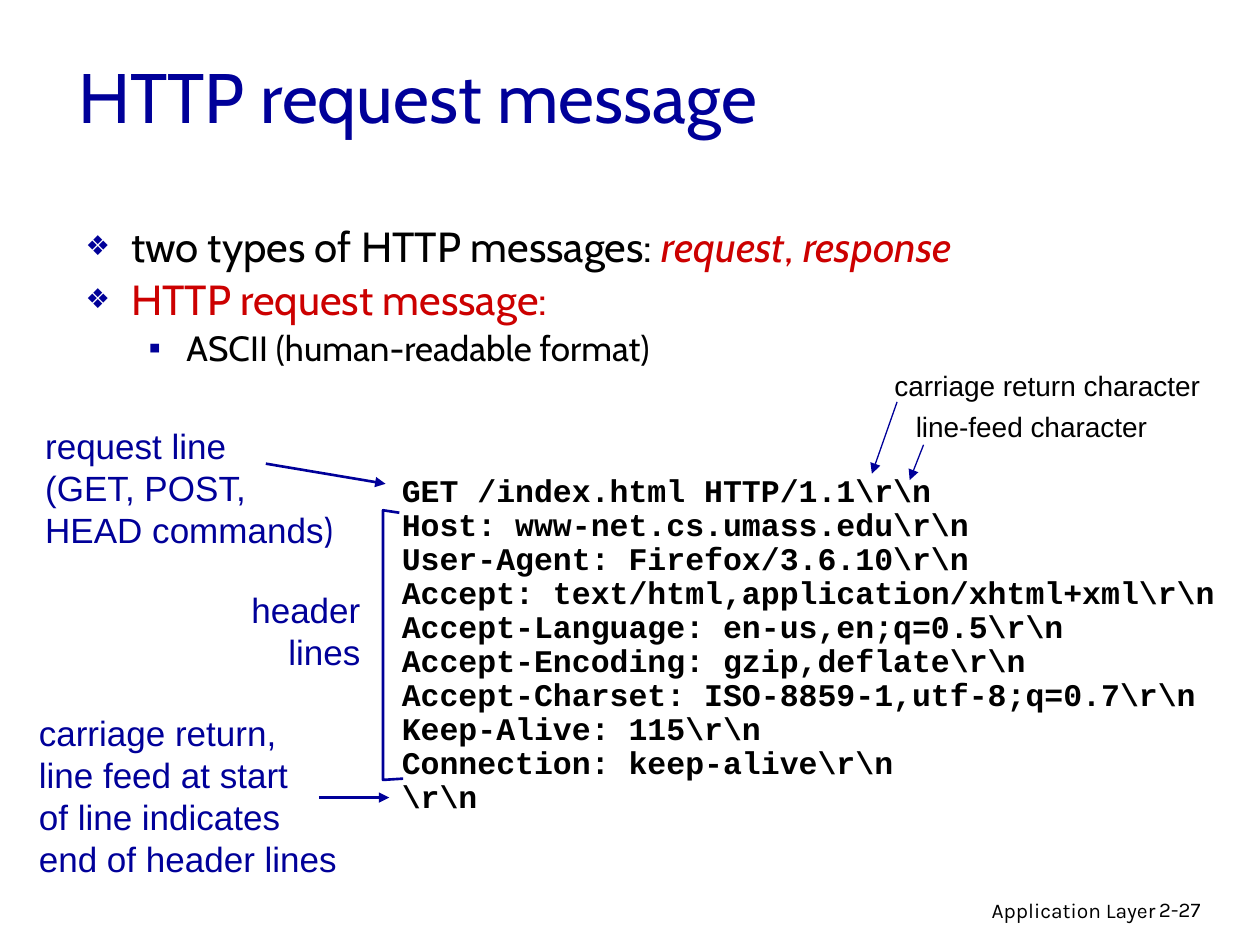
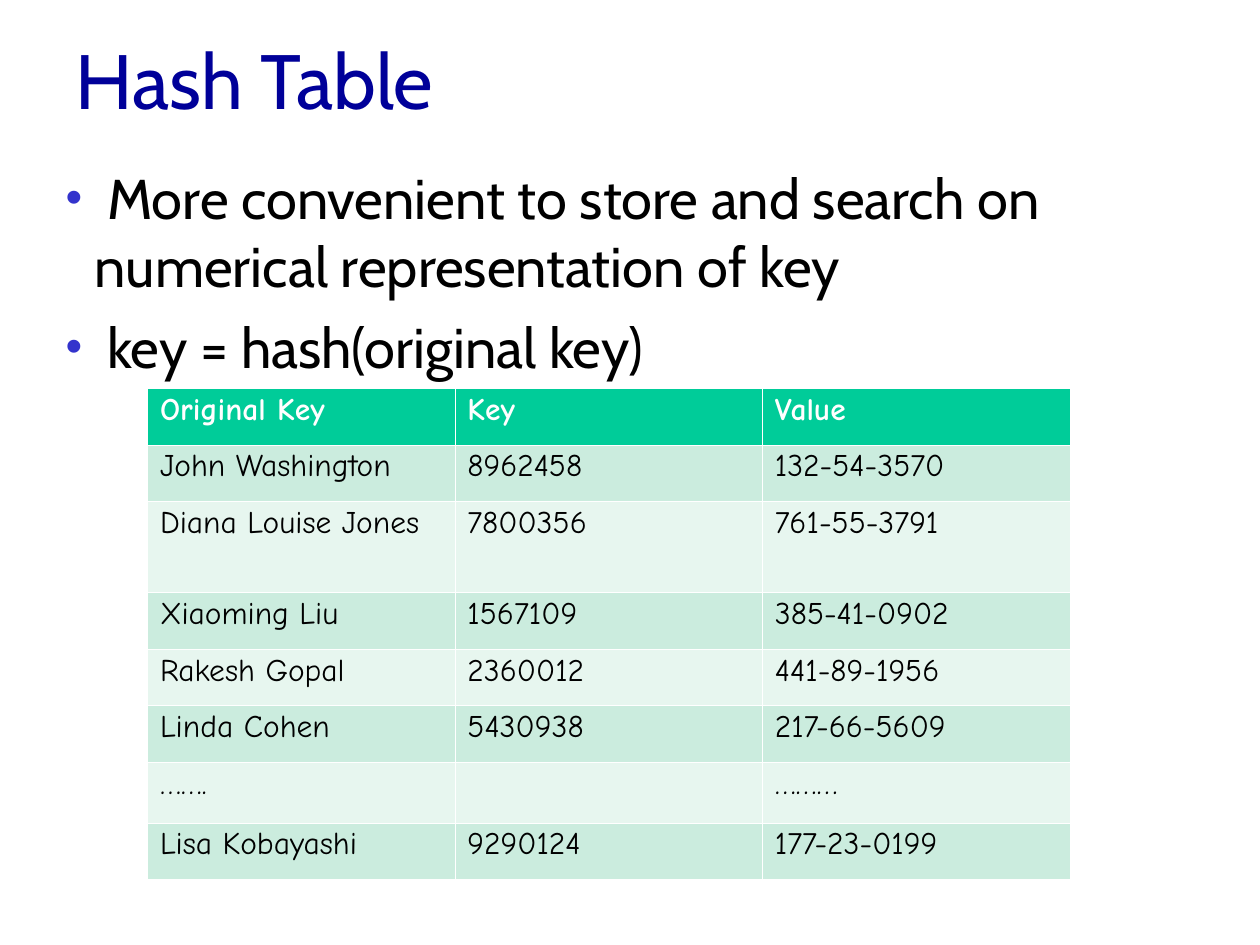
from dataclasses import dataclass, replace
from typing import Optional

from lxml.etree import SubElement
from pptx import Presentation
from pptx.dml.color import RGBColor
from pptx.enum.shapes import MSO_CONNECTOR as Connector
from pptx.enum.text import MSO_ANCHOR as Anchor, MSO_AUTO_SIZE as AutoSize, PP_ALIGN as Align
from pptx.oxml.ns import qn
from pptx.util import Emu, Pt

PX = 9144  # one px is a hundredth of an inch
NAVY, RED, BLACK, WHITE, INDIGO = "000099", "CC0000", "000000", "FFFFFF", "3333CC"
HEADER_GREEN, BAND_GREENS = "00CC99", ("E7F6EF", "CBECDE")
HEADING, LABEL, CODE, FOOTER, CELL = "Cabin", "Arial", "Courier New", "Karla", "Comic Neue"


@dataclass(frozen=True)
class Box:
    left: int
    top: int
    width: int
    height: int

    def emu(self) -> list[Emu]:
        return [px(side) for side in (self.left, self.top, self.width, self.height)]


@dataclass(frozen=True)
class Span:
    text: str
    color: Optional[str] = None
    font: Optional[str] = None
    italic: bool = False


@dataclass(frozen=True)
class Bullet:
    char: str
    color: str
    percent: int = 100


@dataclass(frozen=True)
class Style:
    size: int
    font: str
    color: str = BLACK
    bold: bool = False
    align: Align = Align.LEFT
    spacing: float = 1.0
    before: int = 0
    margin: int = 0
    hanging: int = 0
    level: int = 0
    bullet: Optional[Bullet] = None


@dataclass(frozen=True)
class Paragraph:
    spans: list
    style: Style


@dataclass(frozen=True)
class Note:
    box: Box
    lines: list
    style: Style
    wrap: bool = False


@dataclass(frozen=True)
class Arrow:
    start: tuple[int, int]
    end: tuple[int, int]
    width: float


def px(length: int) -> Emu:
    return Emu(length * PX)


def rgb(color: str) -> RGBColor:
    return RGBColor.from_string(color)


def write_text(para, text: str, *, size: int, font: str, color: str,
               bold: bool = False, italic: bool = False) -> None:
    run = para.add_run()
    run.text = text
    run.font.size, run.font.name = Pt(size), font
    run.font.bold, run.font.italic = bold, italic
    run.font.color.rgb = rgb(color)


def add_bullet(para, bullet: Bullet) -> None:
    props = para._p.get_or_add_pPr()
    SubElement(SubElement(props, qn("a:buClr")), qn("a:srgbClr"), val=bullet.color)
    SubElement(props, qn("a:buSzPct"), val=str(bullet.percent * 1000))
    SubElement(props, qn("a:buChar"), char=bullet.char)


def fill_frame(frame, paragraphs: list[Paragraph]) -> None:
    for index, paragraph in enumerate(paragraphs):
        para = frame.add_paragraph() if index else frame.paragraphs[0]
        style = paragraph.style
        if style.bullet:
            add_bullet(para, style.bullet)
        props = para._p.get_or_add_pPr()
        props.set("marL", str(px(style.margin)))
        props.set("indent", str(px(-style.hanging)))
        para.level, para.alignment = style.level, style.align
        para.line_spacing = style.spacing
        para.space_before = Pt(style.before if index else 0)
        for item in paragraph.spans:
            span = Span(item) if isinstance(item, str) else item
            write_text(para, span.text, size=style.size, font=span.font or style.font,
                       color=span.color or style.color, bold=style.bold, italic=span.italic)


def fill_placeholder(shape, box: Box, paragraphs: list[Paragraph], anchor: Anchor) -> None:
    shape.left, shape.top, shape.width, shape.height = box.emu()
    frame = shape.text_frame
    frame.auto_size, frame.word_wrap = AutoSize.NONE, True
    frame.vertical_anchor = anchor
    fill_frame(frame, paragraphs)


def add_page(deck, title: str, title_box: Box, title_size: int,
             body_box: Box, body: list[Paragraph]):
    """Add a slide with the shared title style and a bulleted body."""
    page = deck.slides.add_slide(deck.slide_layouts[1])
    heading = Paragraph([title], Style(title_size, HEADING, NAVY))
    fill_placeholder(page.shapes.title, title_box, [heading], Anchor.MIDDLE)
    fill_placeholder(page.placeholders[1], body_box, body, Anchor.TOP)
    return page


def add_note(page, note: Note) -> None:
    frame = page.shapes.add_textbox(*note.box.emu()).text_frame
    frame.word_wrap = note.wrap
    frame.auto_size = AutoSize.NONE if note.wrap else AutoSize.SHAPE_TO_FIT_TEXT
    fill_frame(frame, [Paragraph(line if isinstance(line, list) else [line], note.style)
                       for line in note.lines])


def add_arrow(page, arrow: Arrow) -> None:
    points = [px(value) for value in arrow.start + arrow.end]
    connector = page.shapes.add_connector(Connector.STRAIGHT, *points)
    connector.line.color.rgb = rgb(NAVY)
    connector.line.width = Pt(arrow.width)
    SubElement(connector.line._get_or_add_ln(), qn("a:tailEnd"), type="triangle")
    SubElement(connector._element.spPr, qn("a:effectLst"))


def add_bracket(page, points: list[tuple[int, int]]) -> None:
    builder = page.shapes.build_freeform(*points[0], scale=PX)
    builder.add_line_segments(points[1:], close=False)
    bracket = builder.convert_to_shape()
    bracket.shadow.inherit = False
    bracket.fill.background()
    bracket.line.color.rgb = rgb(NAVY)
    bracket.line.width = Pt(1.5)


def style_cell(cell, text: str, style: Style, fill: str) -> None:
    props = cell._tc.get_or_add_tcPr()
    for side in ("lnL", "lnR", "lnT", "lnB"):
        border = SubElement(props, qn(f"a:{side}"), w=str(Pt(0.06)))
        SubElement(SubElement(border, qn("a:solidFill")), qn("a:srgbClr"), val=WHITE)
    cell.fill.solid()
    cell.fill.fore_color.rgb = rgb(fill)
    if text:
        fill_frame(cell.text_frame, [Paragraph([text], style)])


def add_key_table(page, box: Box, heights: list[int], records: list[tuple[str, ...]]) -> None:
    columns = len(records[0])
    table = page.shapes.add_table(len(records), columns, *box.emu()).table
    for column in table.columns:
        column.width = px(box.width // columns)
    body_style = Style(18, CELL, spacing=0.89)
    header_style = replace(body_style, color=WHITE, bold=True)
    for row_index, (height, record) in enumerate(zip(heights, records)):
        table.rows[row_index].height = px(height)
        style = body_style if row_index else header_style
        fill = BAND_GREENS[row_index % 2] if row_index else HEADER_GREEN
        for column_index, text in enumerate(record):
            style_cell(table.cell(row_index, column_index), text, style, fill)


def build_request_page(deck) -> None:
    topic = Style(24, HEADING, spacing=0.85, before=6, margin=36, hanging=36,
                  bullet=Bullet("❖", NAVY, 65))
    detail = replace(topic, size=20, before=5, margin=80, hanging=30, level=1,
                     bullet=Bullet("▪", NAVY))
    page = add_page(deck, "HTTP request message", Box(52, 26, 850, 100), 40,
                    Box(58, 176, 850, 508), [
        Paragraph(["two types of HTTP messages: ", Span("request", RED, italic=True),
                   Span(", ", RED), Span("response", RED, italic=True)], topic),
        Paragraph([Span("HTTP request message:", RED)], topic),
        Paragraph(["ASCII (human-readable format)"], detail),
    ])

    label = Style(20, LABEL, NAVY)
    code = Style(18, CODE, bold=True, spacing=0.9, margin=38, hanging=36)
    callout = Style(16, LABEL, margin=38, hanging=36)
    footer = Style(12, FOOTER)
    request_lines = [
        r"GET /index.html HTTP/1.1\r\n",
        r"Host: www-net.cs.umass.edu\r\n",
        r"User-Agent: Firefox/3.6.10\r\n",
        r"Accept: text/html,application/xhtml+xml\r\n",
        r"Accept-Language: en-us,en;q=0.5\r\n",
        r"Accept-Encoding: gzip,deflate\r\n",
        r"Accept-Charset: ISO-8859-1,utf-8;q=0.7\r\n",
        r"Keep-Alive: 115\r\n",
        r"Connection: keep-alive\r\n",
        r"\r\n",
    ]
    notes = [
        Note(Box(610, 707, 317, 31), ["Application Layer"],
             replace(footer, align=Align.RIGHT), wrap=True),
        Note(Box(910, 707, 74, 30), ["2-27"], footer, wrap=True),
        Note(Box(26, 332, 255, 110),
             ["request line", "(GET, POST,", ["HEAD commands", Span(")", font=HEADING)]],
             label, wrap=True),
        Note(Box(176, 462, 120, 77), ["header", "lines"],
             replace(label, align=Align.RIGHT), wrap=True),
        Note(Box(21, 560, 265, 144),
             ["carriage return,", "line feed at start", "of line indicates",
              "end of header lines"], label, wrap=True),
        Note(Box(307, 372, 739, 280), request_lines, code),
        Note(Box(698, 288, 336, 37), ["carriage return character"], callout),
        Note(Box(715, 320, 277, 37), ["line-feed character"], callout),
    ]
    for note in notes:
        add_note(page, note)

    add_bracket(page, [(317, 407), (304, 405), (304, 619), (320, 618)])
    for arrow in (Arrow((211, 368), (306, 384), 1.5), Arrow((253, 633), (309, 633), 1.5),
                  Arrow((712, 319), (692, 376), 0.75), Arrow((733, 353), (722, 381), 0.75)):
        add_arrow(page, arrow)


def build_hash_page(deck) -> None:
    point = Style(32, HEADING, before=8, margin=23, hanging=23, bullet=Bullet("•", INDIGO, 85))
    page = add_page(deck, "Hash Table", Box(50, 0, 900, 125), 44, Box(42, 125, 883, 246), [
        Paragraph([" More convenient to store and search on numerical representation of key"],
                  point),
        Paragraph([" key = hash(original key)"], point),
    ])
    add_key_table(page, Box(117, 308, 732, 390), [45, 45, 72, 45, 45, 45, 48, 45], [
        ("Original Key", "Key", "Value"),
        ("John Washington", "8962458", "132-54-3570"),
        ("Diana Louise Jones", "7800356", "761-55-3791"),
        ("Xiaoming Liu", "1567109", "385-41-0902"),
        ("Rakesh Gopal", "2360012", "441-89-1956"),
        ("Linda Cohen", "5430938", "217-66-5609"),
        ("…….", "", "………"),
        ("Lisa Kobayashi", "9290124", "177-23-0199"),
    ])


def main() -> None:
    deck = Presentation()
    deck.slide_width, deck.slide_height = px(1000), px(750)
    build_request_page(deck)
    build_hash_page(deck)
    deck.save("out.pptx")


if __name__ == "__main__":
    main()
